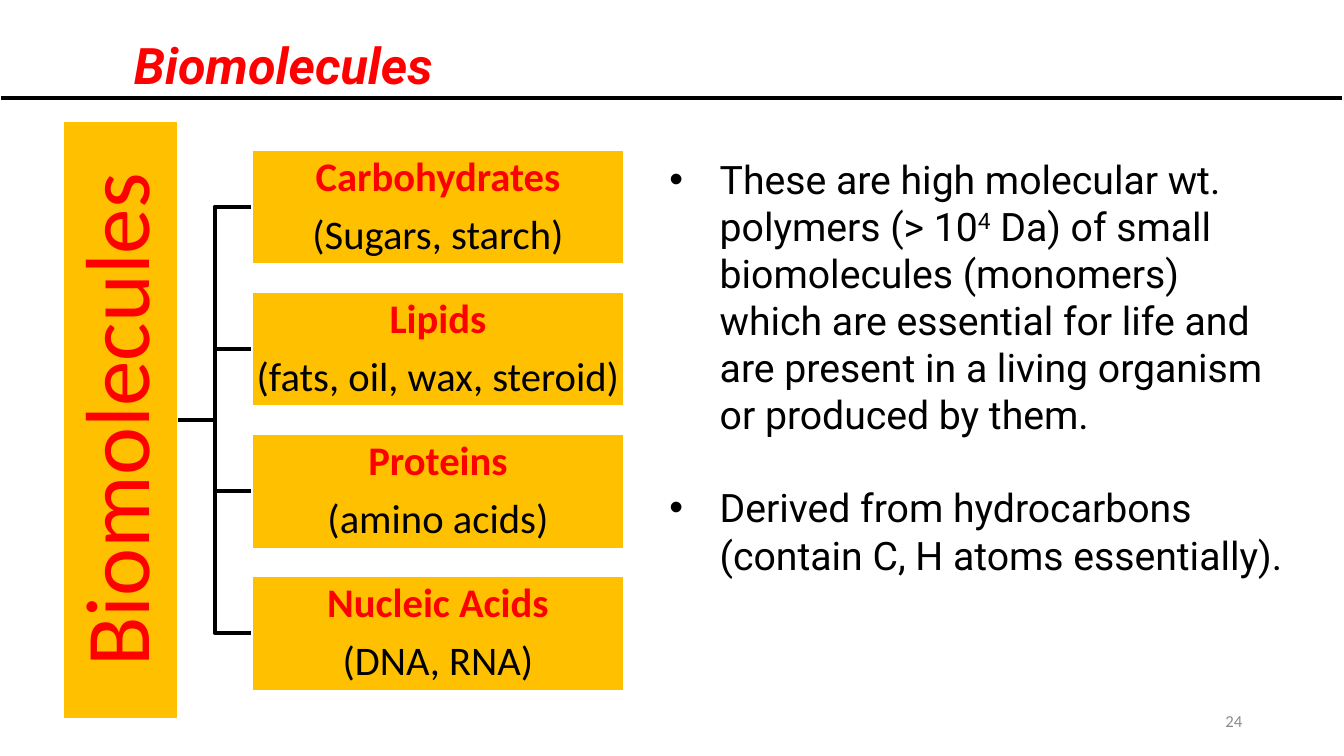
from lxml import etree
from pptx import Presentation
from pptx import util as u
from pptx.dml.color import RGBColor
from pptx.enum import shapes, text
from pptx.oxml.ns import qn

PX = 9144  # EMU per px, 100 px to the inch

RED = RGBColor(0xFF, 0x00, 0x00)
BLACK = RGBColor(0x00, 0x00, 0x00)
WHITE = RGBColor(0xFF, 0xFF, 0xFF)
AMBER = RGBColor(0xFF, 0xC0, 0x00)
GREY = RGBColor(0x8C, 0x8C, 0x8C)

CLASSES = [
    ("Carbohydrates", "(Sugars, starch)"),
    ("Lipids", "(fats, oil, wax, steroid)"),
    ("Proteins", "(amino acids)"),
    ("Nucleic Acids", "(DNA, RNA)"),
]
FACTS = [
    ["These are high molecular wt. polymers (> 10", "4",
     " Da) of small biomolecules (monomers) which are essential for life "
     "and are present in a living organism or produced by them."],
    ["Derived from hydrocarbons (contain C, H atoms essentially)."],
]


class Slide:
    heading_font = "Roboto"
    diagram_font = "Calibri"
    rule_width = u.Pt(3)

    def __init__(self, deck):
        self.page = deck.slides.add_slide(deck.slide_layouts[6])

    def style(self, font, name, size, color, bold=False, italic=False):
        font.name, font.size = name, u.Pt(size)
        font.bold, font.italic = bold, italic
        font.color.rgb = color

    def text_box(self, left, top, width, height):
        box = self.page.shapes.add_textbox(
            left * PX, top * PX, width * PX, height * PX)
        box.text_frame.word_wrap = True
        return box.text_frame

    def label(self, place, words, name, size, color, **emphasis):
        frame = self.text_box(*place)
        frame.text = words
        self.style(frame.paragraphs[0].runs[0].font, name, size, color, **emphasis)
        return frame

    def rule(self, left, right, y):
        line = self.page.shapes.add_connector(
            shapes.MSO_CONNECTOR.STRAIGHT, left * PX, y * PX, right * PX, y * PX)
        line.line.color.rgb = BLACK
        line.line.width = self.rule_width
        etree.SubElement(line._element.spPr, qn("a:effectLst"))

    def branch(self, start, end):
        """Draw a stepped line that turns halfway between start and end."""
        middle = (start[0] + end[0]) // 2
        builder = self.page.shapes.build_freeform(*start, scale=PX)
        builder.add_line_segments(
            [(middle, start[1]), (middle, end[1]), end], close=False)
        path = builder.convert_to_shape()
        path.shadow.inherit = False
        path.fill.background()
        path.line.color.rgb = BLACK
        path.line.width = self.rule_width

    def node(self, place, lines, size, margin, rotation=0):
        """Draw an amber box; lines holds (words, colour, bold) per paragraph."""
        box = self.page.shapes.add_shape(
            shapes.MSO_SHAPE.RECTANGLE, *(length * PX for length in place))
        box.rotation = rotation
        box.shadow.inherit = False
        box.fill.solid()
        box.fill.fore_color.rgb = AMBER
        box.line.color.rgb = WHITE
        box.line.width = u.Pt(1)
        frame = box.text_frame
        frame.word_wrap = True
        frame.vertical_anchor = text.MSO_ANCHOR.MIDDLE
        frame.margin_left = frame.margin_right = margin * PX
        frame.margin_top = frame.margin_bottom = margin * PX
        frame.text = "\n".join(words for words, _, _ in lines)
        for para, (_, color, bold) in zip(frame.paragraphs, lines):
            para.alignment = text.PP_ALIGN.CENTER
            para.line_spacing = 0.9
            para.space_after = u.Pt(round(size * 0.35))
            self.style(para.runs[0].font, self.diagram_font, size, color, bold)

    def bullets(self, place, items, size, gap):
        """Write bulleted items; the second span of an item is a superscript."""
        frame = self.text_box(*place)
        for index, pieces in enumerate(items):
            para = frame.add_paragraph() if index else frame.paragraphs[0]
            if index:
                para.space_before = u.Pt(gap)
            props = para._p.get_or_add_pPr()
            props.set("marL", str(50 * PX))
            props.set("indent", str(-50 * PX))
            etree.SubElement(props, qn("a:buFont"), typeface="Arial")
            etree.SubElement(props, qn("a:buChar"), char="•")
            for order, words in enumerate(pieces):
                span = para.add_run()
                span.text = words
                self.style(span.font, self.heading_font, size, BLACK)
                if order == 1:
                    span._r.get_or_add_rPr().set("baseline", "30000")


def main():
    deck = Presentation()
    deck.slide_width, deck.slide_height = u.Inches(13.33), u.Inches(7.5)
    slide = Slide(deck)

    slide.label((123, 29, 875, 71), "Biomolecules", slide.heading_font, 36, RED,
                bold=True, italic=True)
    slide.rule(1, 1331, 97)

    left, first_top, width, height, pitch = 250, 149, 369, 113, 141
    tops = [first_top + pitch * row for row in range(len(CLASSES))]
    for top in tops:
        slide.branch((176, 417), (left, top + height // 2))
    slide.node((-177, 360, 593, height), [("Biomolecules", RED, False)], 65, 5,
               rotation=270)
    for top, (name, examples) in zip(tops, CLASSES):
        slide.node((left, top, width, height),
                   [(name, RED, True), (examples, BLACK, False)], 29, 2)

    slide.bullets((654, 149, 630, 481), FACTS, 28, 33)
    number = slide.label((942, 695, 300, 40), "24", slide.diagram_font, 12, GREY)
    number.vertical_anchor = text.MSO_ANCHOR.MIDDLE
    number.paragraphs[0].alignment = text.PP_ALIGN.RIGHT

    deck.save("out.pptx")


if __name__ == "__main__":
    main()
